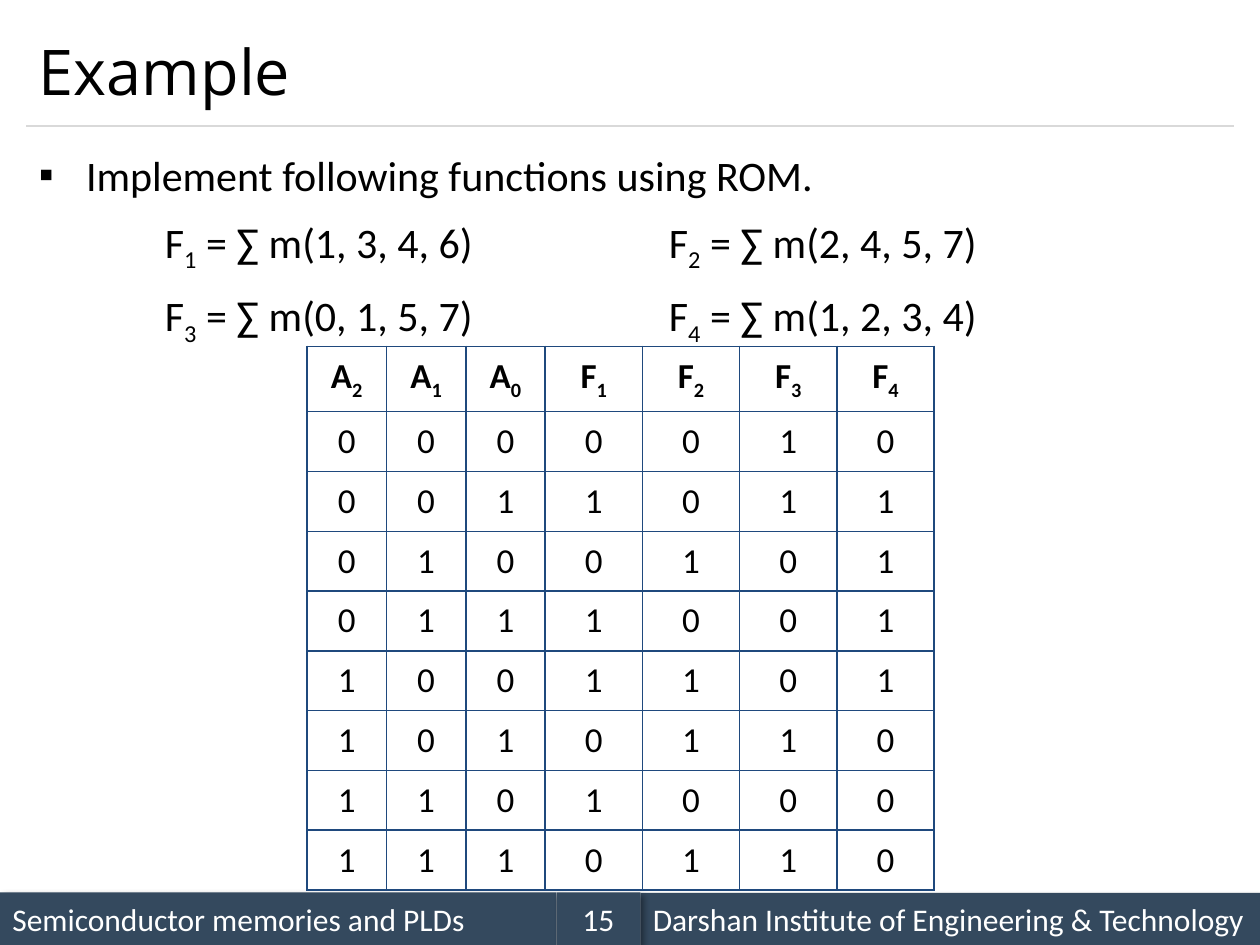
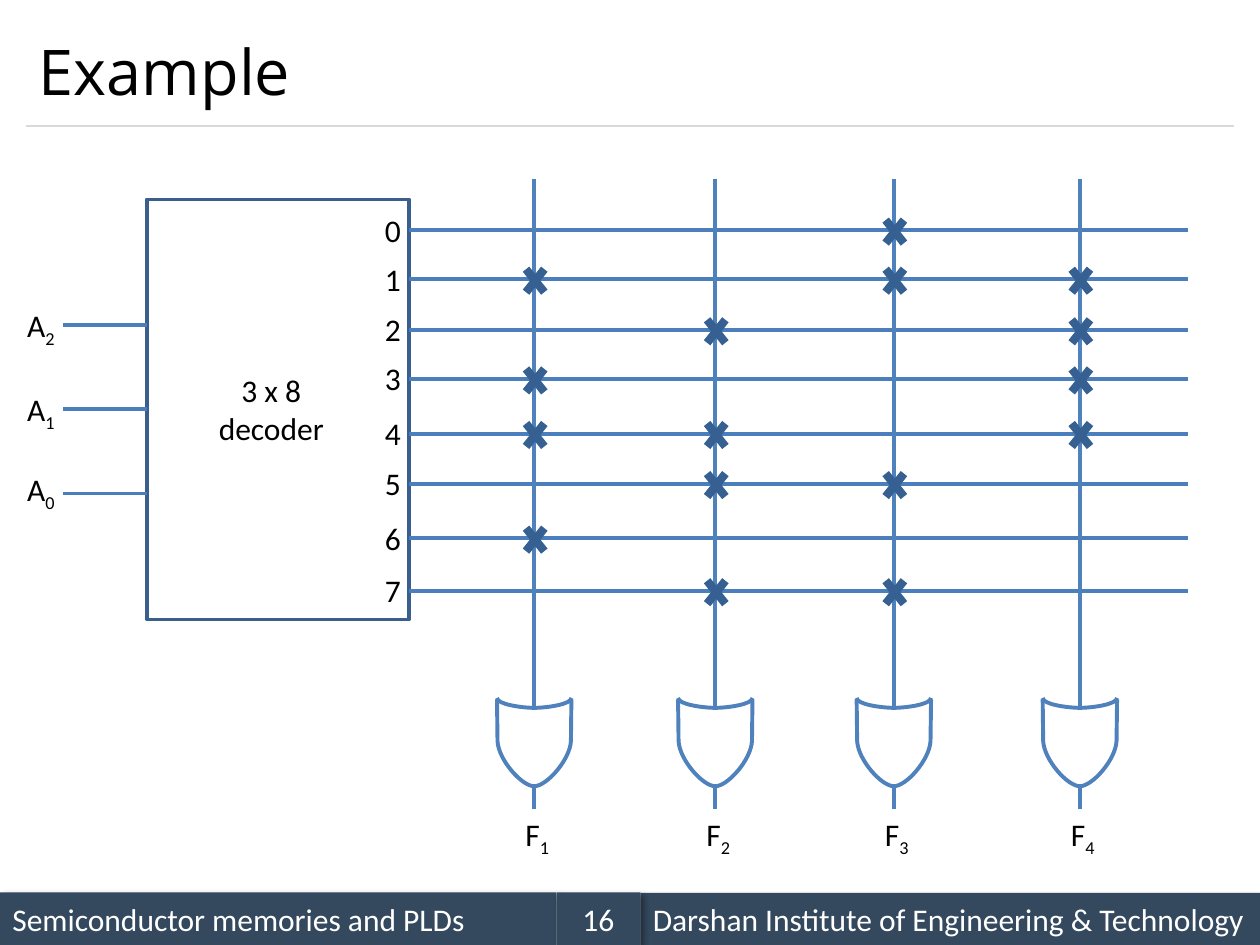
from typing import NamedTuple

from lxml import etree
from pptx import Presentation
from pptx import util as u
from pptx.dml.color import RGBColor
from pptx.enum import shapes, text
from pptx.oxml import ns

# Shared look
BLACK = RGBColor(0x00, 0x00, 0x00)
WHITE = RGBColor(0xFF, 0xFF, 0xFF)
SLATE = RGBColor(0x34, 0x49, 0x5E)
RULE_GREY = RGBColor(0xD9, 0xD9, 0xD9)
TABLE_NAVY = RGBColor(0x1F, 0x49, 0x7D)
DECODER_BLUE = RGBColor(0x3A, 0x5F, 0x8C)
WIRE_BLUE = RGBColor(0x4B, 0x7E, 0xBC)
GATE_BLUE = RGBColor(0x4F, 0x81, 0xBD)
CROSS_BLUE = RGBColor(0x37, 0x60, 0x92)

TITLE = {"name": "Open Sans", "size": u.Pt(36)}
BODY = {"name": "Calibri", "size": u.Pt(24)}
CELL = {"name": "Calibri", "size": u.Pt(20)}
HEAD = {**CELL, "bold": True}
LABEL = {"name": "Calibri", "size": u.Pt(18)}

LEFT = text.PP_ALIGN.LEFT
CENTER = text.PP_ALIGN.CENTER
MIDDLE = text.MSO_ANCHOR.MIDDLE

# Functions stored in the ROM, each a set of minterms
MINTERMS = {
    "F_1": (1, 3, 4, 6),
    "F_2": (2, 4, 5, 7),
    "F_3": (0, 1, 5, 7),
    "F_4": (1, 2, 3, 4),
}


class Box(NamedTuple):
    left: float
    top: float
    width: float
    height: float

    def emu(self) -> list[u.Cm]:
        return [u.Cm(v) for v in self]


class Band(NamedTuple):
    box: Box
    words: str
    align: text.PP_ALIGN


class Wire(NamedTuple):
    x1: float
    y1: float
    x2: float
    y2: float


class Outline(NamedTuple):
    """Open outline: a segment of one point is a line, of three a curve."""
    start: tuple[float, float]
    segments: list[list[tuple[float, float]]]


TITLE_BOX = Box(0.53, 0.3, 24.33, 2.24)
BODY_BOX = Box(0.53, 2.74, 24.33, 4.24)


# Text helpers
def add_runs(p, words: str, fmt: dict, color: RGBColor = BLACK) -> None:
    """Write words into p; the character after each "_" is a subscript."""
    first, *rest = words.split("_")
    pieces = [(first, False)]
    for piece in rest:
        pieces += [(piece[0], True), (piece[1:], False)]
    for piece, lowered in pieces:
        if not piece:
            continue
        r = p.add_run()
        r.text = piece
        for name, value in fmt.items():
            setattr(r.font, name, value)
        r.font.color.rgb = color
        if lowered:
            r._r.get_or_add_rPr().set("baseline", "-25000")


def add_label(slide, box: Box, words: str, inset: float = 0.25, align=LEFT) -> None:
    tf = slide.shapes.add_textbox(*box.emu()).text_frame
    tf.word_wrap = True
    tf.margin_left, tf.margin_right = u.Cm(inset), 0
    for i, line in enumerate(words.split("\n")):
        p = tf.add_paragraph() if i else tf.paragraphs[0]
        p.alignment = align
        add_runs(p, line, LABEL)


def place(sp, box: Box) -> None:
    for name, value in zip(("left", "top", "width", "height"), box.emu()):
        setattr(sp, name, value)


# Drawing helpers
def add_wire(slide, wire: Wire, color: RGBColor, width: float = 2.25) -> None:
    line = slide.shapes.add_connector(
        shapes.MSO_CONNECTOR.STRAIGHT, *[u.Cm(v) for v in wire])
    line.line.color.rgb = color
    line.line.width = u.Pt(width)
    etree.SubElement(line.element.spPr, ns.qn("a:effectLst"))


def add_band(slide, band: Band) -> None:
    sp = slide.shapes.add_shape(shapes.MSO_SHAPE.RECTANGLE, *band.box.emu())
    sp.fill.solid()
    sp.fill.fore_color.rgb = SLATE
    sp.line.fill.background()
    sp.shadow.inherit = False
    effects = sp.element.spPr.find(ns.qn("a:effectLst"))
    shadow = etree.SubElement(effects, ns.qn("a:outerShdw"), blurRad="50800",
                              dist="38100", dir="2700000", algn="tl", rotWithShape="0")
    black = etree.SubElement(shadow, ns.qn("a:srgbClr"), val=str(BLACK))
    etree.SubElement(black, ns.qn("a:alpha"), val="40000")
    tf = sp.text_frame
    tf.vertical_anchor = MIDDLE
    tf.paragraphs[0].alignment = band.align
    add_runs(tf.paragraphs[0], band.words, LABEL, WHITE)


def start_slide(prs, layout: int, number: int):
    """Add a slide with the footer bands, the rule and the title."""
    slide = prs.slides.add_slide(prs.slide_layouts[layout])
    add_band(slide, Band(Box(0, 17.99, 11.22, 1.06), "Semiconductor memories and PLDs", LEFT))
    add_wire(slide, Wire(0.53, 2.54, 24.87, 2.54), RULE_GREY, 0.75)
    add_band(slide, Band(Box(12.91, 18, 12.49, 1.05),
                         "Darshan Institute of Engineering & Technology", LEFT))
    add_band(slide, Band(Box(11.22, 17.99, 1.69, 1.06), str(number), CENTER))
    title = slide.shapes.title
    place(title, TITLE_BOX)
    tf = title.text_frame
    tf.vertical_anchor = MIDDLE
    tf.auto_size = text.MSO_AUTO_SIZE.NONE
    tf.paragraphs[0].alignment = LEFT
    add_runs(tf.paragraphs[0], "Example", TITLE)
    return slide


# Slide 1: task and truth table
def formula(name: str) -> str:
    return f"{name} = ∑ m({', '.join(map(str, MINTERMS[name]))})"


def fill_body(slide) -> None:
    body = slide.placeholders[1]
    place(body, BODY_BOX)
    tf = body.text_frame
    tf.auto_size = text.MSO_AUTO_SIZE.NONE
    lines = ["Implement following functions using ROM."]
    lines += [f"\t{formula(a)}\t\t{formula(b)}" for a, b in (("F_1", "F_2"), ("F_3", "F_4"))]
    for i, line in enumerate(lines):
        p = tf.add_paragraph() if i else tf.paragraphs[0]
        pPr = p._p.get_or_add_pPr()
        hang = 0 if i else u.Cm(0.95)
        for name, value in (("marL", hang), ("indent", -hang), ("defTabSz", u.Cm(2.54))):
            pPr.set(name, str(value))
        if i:
            etree.SubElement(pPr, ns.qn("a:buNone"))
        else:
            etree.SubElement(pPr, ns.qn("a:buChar"), char="▪")
        p.line_spacing = 1.14
        p.space_before = u.Pt(4.8 if i else 0)
        add_runs(p, line, BODY)


def add_borders(cell) -> None:
    tcPr = cell._tc.get_or_add_tcPr()
    for i, side in enumerate(("lnL", "lnR", "lnT", "lnB")):
        ln = etree.Element(ns.qn(f"a:{side}"), w=str(u.Pt(1)))
        fill = etree.SubElement(ln, ns.qn("a:solidFill"))
        etree.SubElement(fill, ns.qn("a:srgbClr"), val=str(TABLE_NAVY))
        tcPr.insert(i, ln)


def add_truth_table(slide) -> None:
    rows = [["A_2", "A_1", "A_0", *MINTERMS]]
    for n in range(8):
        rows.append([*f"{n:03b}", *(str(int(n in terms)) for terms in MINTERMS.values())])
    widths = [1.6] * 3 + [1.96] * 4
    heights = [1.32] + [9.64 / 8] * 8
    box = Box(6.19, 6.98, sum(widths), sum(heights))
    table = slide.shapes.add_table(len(rows), len(widths), *box.emu()).table
    table.first_row = table.horz_banding = False
    for column, width in zip(table.columns, widths):
        column.width = u.Cm(width)
    for i, (row, height) in enumerate(zip(rows, heights)):
        table.rows[i].height = u.Cm(height)
        for j, value in enumerate(row):
            cell = table.cell(i, j)
            cell.fill.background()
            cell.vertical_anchor = MIDDLE
            add_borders(cell)
            p = cell.text_frame.paragraphs[0]
            p.alignment = CENTER
            add_runs(p, value, CELL if i else HEAD)


# Slide 2: ROM array
DECODER = Box(2.96, 4.02, 5.29, 8.47)
DECODER_RIGHT = DECODER.left + DECODER.width
INPUTS = {"A_2": (6.55, 6.05), "A_1": (8.25, 7.74), "A_0": (9.95, 9.35)}
WORD_LINES = (4.64, 5.63, 6.65, 7.64, 8.74, 9.75, 10.85, 11.91)
BIT_LINES = (10.77, 14.42, 18.02, 21.77)
CROSS_W, CROSS_H = 0.71, 0.89

# OR gate, measured from its bit line
GATE_BODY = Outline((0.75, 14.1), [
    [(0.74, 14.94)],
    [(0.72, 15.32), (0.25, 15.85), (0, 15.85)],
    [(-0.25, 15.85), (-0.72, 15.32), (-0.74, 14.94)],
    [(-0.75, 14.1)],
])
GATE_BACK = Outline((-0.75, 14.07), [
    [(-0.75, 14.2), (-0.25, 14.27), (0, 14.27)],
    [(0.25, 14.27), (0.75, 14.2), (0.75, 14.07)],
])


def add_outline(slide, x: float, outline: Outline) -> None:
    def at(point):
        return u.Cm(x + point[0]), u.Cm(point[1])

    builder = slide.shapes.build_freeform(*at(outline.start), scale=1.0)
    points = [at(point) for segment in outline.segments for point in segment]
    builder.add_line_segments(points, close=False)
    sp = builder.convert_to_shape()
    sp.fill.background()
    sp.line.color.rgb = GATE_BLUE
    sp.line.width = u.Pt(2.25)
    sp.shadow.inherit = False
    # Join the three points of each curve into one Bezier segment
    steps = iter(list(sp.element.iter(ns.qn("a:lnTo"))))
    for segment in outline.segments:
        first, *others = [next(steps) for _ in segment]
        if others:
            first.tag = ns.qn("a:cubicBezTo")
        for step in others:
            first.append(step[0])
            step.getparent().remove(step)


def add_cross(slide, x: float, y: float) -> None:
    box = Box(x - CROSS_W / 2 + 0.02, y - CROSS_H / 2 + 0.03, CROSS_W, CROSS_H)
    sp = slide.shapes.add_shape(shapes.MSO_SHAPE.MATH_MULTIPLY, *box.emu())
    sp.fill.solid()
    sp.fill.fore_color.rgb = CROSS_BLUE
    sp.line.fill.background()
    sp.shadow.inherit = False


def add_decoder(slide) -> None:
    sp = slide.shapes.add_shape(shapes.MSO_SHAPE.RECTANGLE, *DECODER.emu())
    sp.fill.background()
    sp.line.color.rgb = DECODER_BLUE
    sp.line.width = u.Pt(2)
    sp.shadow.inherit = False
    add_label(slide, Box(4.06, 7.36, 2.82, 1.8), "3 x 8\ndecoder", 0, CENTER)
    for name, (y, label_top) in INPUTS.items():
        add_wire(slide, Wire(1.27, y, DECODER.left, y), WIRE_BLUE)
        add_label(slide, Box(0.3, label_top, 1.12, 1.02), name)
    for n, y in enumerate(WORD_LINES):
        add_wire(slide, Wire(DECODER_RIGHT, y, 23.95, y), WIRE_BLUE)
        add_label(slide, Box(7.6, y - 0.52, 0.43, 1.02), str(n), 0.16)


def add_outputs(slide) -> None:
    for x, (name, terms) in zip(BIT_LINES, MINTERMS.items()):
        add_wire(slide, Wire(x, 3.6, x, 14.25), GATE_BLUE)
        add_wire(slide, Wire(x, 15.85, x, 16.31), GATE_BLUE)
        add_outline(slide, x, GATE_BODY)
        add_outline(slide, x, GATE_BACK)
        for n in terms:
            add_cross(slide, x, WORD_LINES[n])
        add_label(slide, Box(x - 0.43, 16.3, 1.02, 1.07), name)


def main() -> None:
    prs = Presentation()
    prs.slide_width, prs.slide_height = u.Cm(25.4), u.Cm(19.05)

    task = start_slide(prs, 1, 15)
    fill_body(task)
    add_truth_table(task)

    array = start_slide(prs, 5, 16)
    add_decoder(array)
    add_outputs(array)

    prs.save("out.pptx")


if __name__ == "__main__":
    main()
